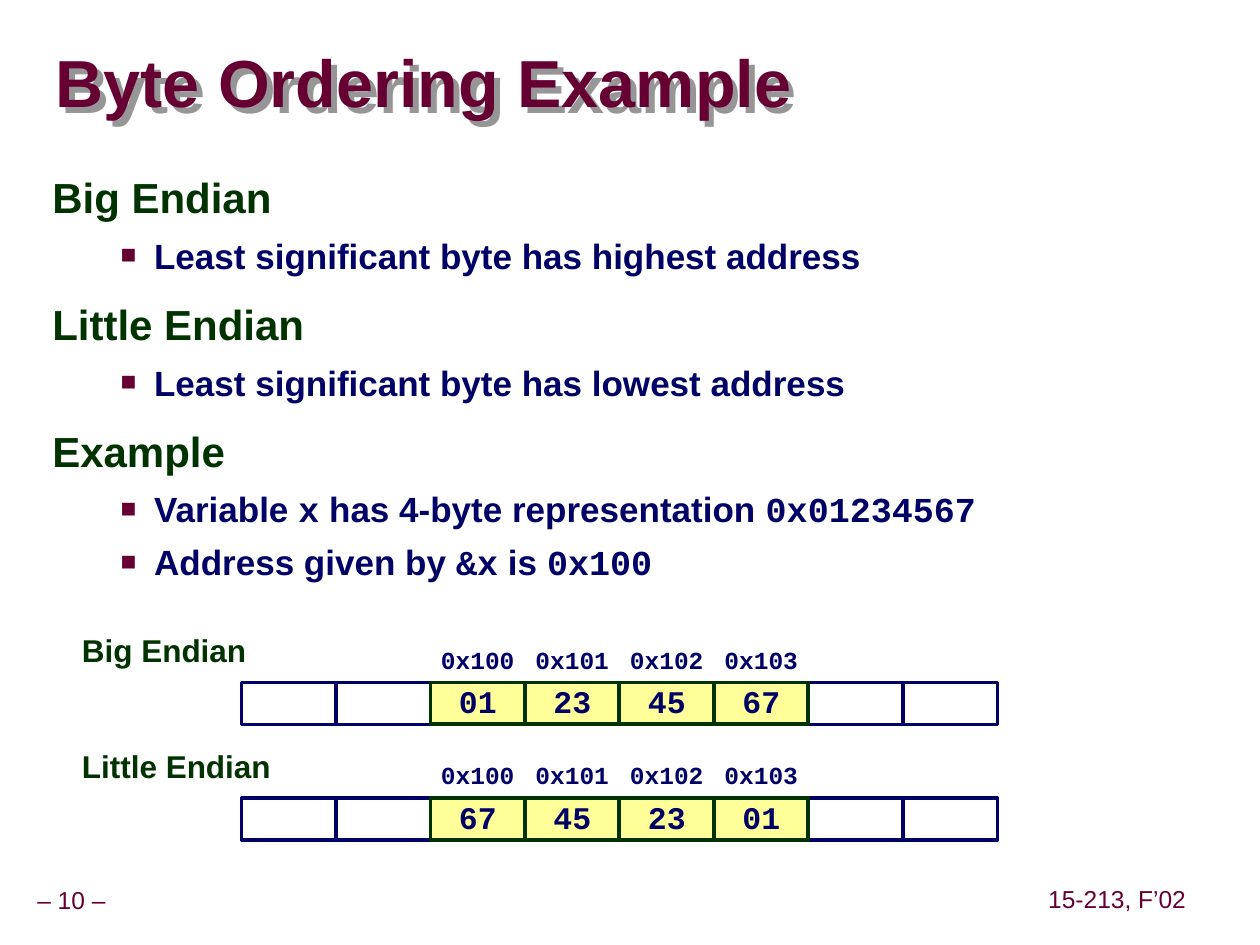
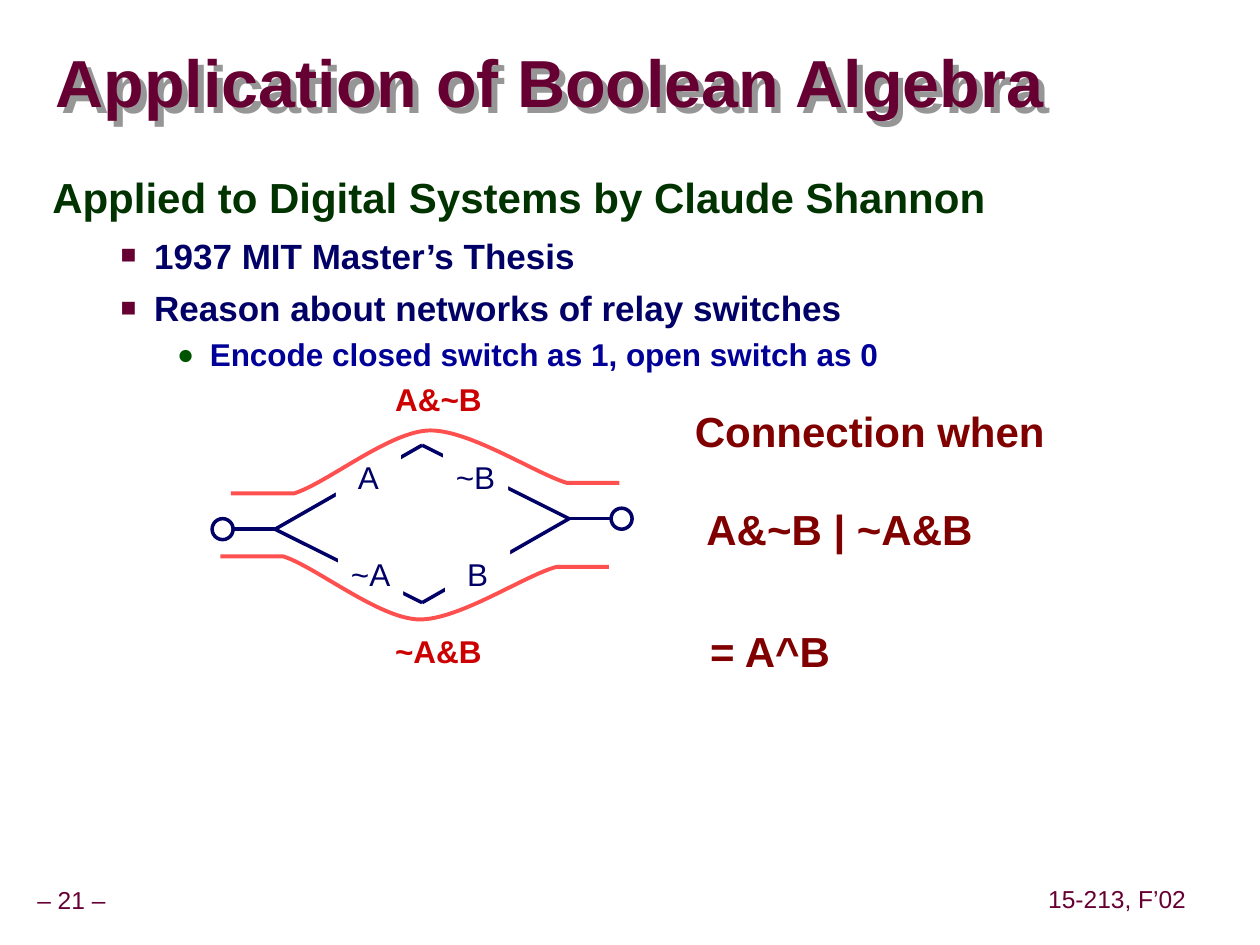
from dataclasses import dataclass
from typing import NamedTuple

from lxml.etree import Element, SubElement
from pptx import Presentation
from pptx.dml.color import RGBColor
from pptx.enum.shapes import MSO_CONNECTOR, MSO_SHAPE
from pptx.enum.text import MSO_ANCHOR, MSO_AUTO_SIZE, PP_ALIGN
from pptx.oxml.ns import qn
from pptx.util import Pt

EMU_PER_PX = 7620  # 120 px to the inch
COLORS = {
    "plum": "660033", "forest": "003300", "leaf": "005400", "navy": "000066",
    "blue": "000099", "maroon": "800000", "red": "CC0000", "coral": "FF5050",
    "yellow": "FFFF99", "white": "FFFFFF", "shadow": "969696",
}
SANS, MONO = "Arial", "Courier New"


class Area(NamedTuple):
    left: int
    top: int
    width: int
    height: int


@dataclass(frozen=True)
class TextStyle:
    size: int
    color: str
    font: str = SANS
    bold: bool = True


@dataclass(frozen=True)
class Layout:
    align: PP_ALIGN = PP_ALIGN.CENTER
    anchor: MSO_ANCHOR = MSO_ANCHOR.TOP
    spacing: float = 1.0
    inset_x: int = 6
    inset_y: int = 6
    wrap: bool = False


@dataclass(frozen=True)
class Level:
    style: TextStyle
    indent: int
    hanging: int
    before: float
    spacing: float
    bullet: str = ""
    bullet_color: str = ""
    bullet_percent: int = 100


@dataclass(frozen=True)
class Item:
    level: Level
    spans: tuple[str, ...]  # sans and mono text in turn


# Shared text styles
TITLE = TextStyle(38, "plum")
FOOTER = TextStyle(14, "plum", bold=False)
ADDRESS = TextStyle(14, "navy", MONO)
BYTE = TextStyle(18, "navy", MONO)
ROW_NAME = TextStyle(18, "forest")
SWITCH = TextStyle(18, "navy", bold=False)
PATH_NAME = TextStyle(18, "red")
RESULT = TextStyle(24, "maroon")

HEADING = Level(TextStyle(24, "forest"), 0, 0, 15, 0.95)
POINT = Level(TextStyle(20, "navy"), 97, 32, 6.2, 1.0, "■", "plum", 75)
DETAIL = Level(TextStyle(18, "blue"), 150, 31, 2.2, 1.07, "●", "leaf", 90)

TITLE_AREA = Area(53, 32, 1143, 102)
BODY_AREA = Area(38, 161, 1091, 685)
NUMBER_AREA = Area(0, 840, 136, 37)
COURSE_AREA = Area(992, 839, 144, 37)

CENTERED = Layout(anchor=MSO_ANCHOR.MIDDLE, spacing=0.9)
CAPTION = Layout(spacing=0.9)
PLAIN = Layout()
ROW_LABEL = Layout(PP_ALIGN.LEFT, spacing=0.95, inset_x=8, inset_y=4, wrap=True)
TITLE_LAYOUT = Layout(PP_ALIGN.LEFT, MSO_ANCHOR.MIDDLE, 0.87, 0, 0, True)
BODY_LAYOUT = Layout(PP_ALIGN.LEFT, inset_x=12, wrap=True)
RESULT_LAYOUT = Layout(PP_ALIGN.LEFT, inset_x=12)


def px(length: int) -> int:
    return length * EMU_PER_PX


def emu(area: Area) -> list[int]:
    return [px(length) for length in area]


def rgb(name: str) -> RGBColor:
    return RGBColor.from_string(COLORS[name])


def add_span(para, text: str, style: TextStyle, font: str = "") -> None:
    span = para.add_run()
    span.text = text
    span.font.size = Pt(style.size)
    span.font.name = font or style.font
    span.font.bold = style.bold
    span.font.color.rgb = rgb(style.color)


def set_frame(frame, layout: Layout) -> None:
    frame.auto_size = MSO_AUTO_SIZE.NONE
    frame.word_wrap = layout.wrap
    frame.vertical_anchor = layout.anchor
    frame.margin_left = frame.margin_right = px(layout.inset_x)
    frame.margin_top = frame.margin_bottom = px(layout.inset_y)


def write(shape, text: str, style: TextStyle, layout: Layout) -> None:
    set_frame(shape.text_frame, layout)
    para = shape.text_frame.paragraphs[0]
    para.alignment = layout.align
    para.line_spacing = layout.spacing
    add_span(para, text, style)


def add_text(page, area: Area, text: str, style: TextStyle, layout: Layout) -> None:
    write(page.shapes.add_textbox(*emu(area)), text, style, layout)


def add_box(page, area: Area, fill: str = "white", line: str = "",
            weight: float = 2, kind: MSO_SHAPE = MSO_SHAPE.RECTANGLE):
    box = page.shapes.add_shape(kind, *emu(area))
    box.shadow.inherit = False
    box.fill.solid()
    box.fill.fore_color.rgb = rgb(fill)
    if line:
        box.line.color.rgb = rgb(line)
        box.line.width = Pt(weight)
    else:
        box.line.fill.background()
    return box


def set_bullet(para, level: Level) -> None:
    properties = para._p.get_or_add_pPr()
    properties.set("marL", str(px(level.indent)))
    properties.set("indent", str(-px(level.hanging)))
    if level.bullet:
        color = SubElement(properties, qn("a:buClr"))
        SubElement(color, qn("a:srgbClr"), val=COLORS[level.bullet_color])
        SubElement(properties, qn("a:buSzPct"), val=str(level.bullet_percent * 1000))
        SubElement(properties, qn("a:buFont"), typeface=SANS)
        SubElement(properties, qn("a:buChar"), char=level.bullet)


def add_body(page, items: list[Item]) -> None:
    frame = page.shapes.add_textbox(*emu(BODY_AREA)).text_frame
    set_frame(frame, BODY_LAYOUT)
    for index, item in enumerate(items):
        para = frame.add_paragraph() if index else frame.paragraphs[0]
        level = item.level
        para.line_spacing = level.spacing
        para.space_before = Pt(level.before if index else 0)
        set_bullet(para, level)
        for position, text in enumerate(item.spans):
            add_span(para, text, level.style, MONO if position % 2 else SANS)


def add_title(page, text: str) -> None:
    title = page.shapes.title
    title.left, title.top, title.width, title.height = emu(TITLE_AREA)
    write(title, text, TITLE, TITLE_LAYOUT)
    title.fill.background()
    effects = SubElement(title._element.spPr, qn("a:effectLst"))
    shadow = SubElement(effects, qn("a:outerShdw"), dist=str(px(8)),
                        dir="2700000", algn="ctr", rotWithShape="0")
    SubElement(shadow, qn("a:srgbClr"), val=COLORS["shadow"])


def add_page(deck, title: str, number: int, items: list[Item]):
    page = deck.slides.add_slide(deck.slide_layouts[5])
    add_title(page, title)
    add_text(page, NUMBER_AREA, f"– {number} –", FOOTER, CENTERED)
    add_text(page, COURSE_AREA, "15-213, F’02", FOOTER, CENTERED)
    add_body(page, items)
    return page


def add_memory_row(page, name: str, top: int, values: list[str]) -> None:
    left, width, height, first = 230, 90, 40, 2
    cells = [Area(left + width * column, top, width, height) for column in range(8)]
    used = cells[first:first + len(values)]
    # Empty cells first, so the outlines of the used ones lie on top
    for cell in cells:
        if cell not in used:
            add_box(page, cell, line="navy")
    for offset, (cell, value) in enumerate(zip(used, values)):
        address = add_box(page, cell._replace(top=top - height))
        write(address, f"0x{0x100 + offset:x}", ADDRESS, CENTERED)
        box = add_box(page, cell, "yellow", "forest", 2.25)
        write(box, value, BYTE, CENTERED)
    add_text(page, Area(70, top - 50, 234, 41), name, ROW_NAME, ROW_LABEL)


def add_wire(page, start: tuple[int, int], end: tuple[int, int]) -> None:
    wire = page.shapes.add_connector(
        MSO_CONNECTOR.STRAIGHT, *(px(length) for length in start + end))
    wire.line.color.rgb = rgb("navy")
    wire.line.width = Pt(2)
    SubElement(wire._element.spPr, qn("a:effectLst"))


def add_path(page, points: list[tuple[int, int]]) -> None:
    """Draw a straight lead, two cubic curves and a straight lead."""
    builder = page.shapes.build_freeform(*points[0], scale=EMU_PER_PX)
    builder.add_line_segments(points[1:], close=False)
    shape = builder.convert_to_shape()
    shape.shadow.inherit = False
    shape.fill.background()
    shape.line.color.rgb = rgb("coral")
    shape.line.width = Pt(2.25)
    segments = list(shape._element.iter(qn("a:lnTo")))
    for group in (segments[1:4], segments[4:7]):
        curve = Element(qn("a:cubicBezTo"))
        group[0].addprevious(curve)
        for segment in group:
            curve.append(segment[0])
            segment.getparent().remove(segment)


def add_circuit(page) -> None:
    # Wires of the switch network
    left, right, upper, lower = (262, 504), (542, 494), (402, 424), (402, 574)
    for middle in (upper, lower):
        add_wire(page, left, middle)
        add_wire(page, middle, right)
    add_wire(page, (222, 504), left)
    add_wire(page, right, (582, 494))
    # Switch names cover the middle of each wire
    for x, y, name in ((320, 430, "A"), (322, 523, "~A"),
                       (422, 430, "~B"), (424, 523, "B")):
        write(add_box(page, Area(x, y, 62, 48)), name, SWITCH, PLAIN)
    # Terminals
    for x, y in ((202, 494), (582, 484)):
        add_box(page, Area(x, y, 20, 20), line="navy", kind=MSO_SHAPE.OVAL)
    # Closed paths
    add_path(page, [(220, 470), (280, 470), (312, 460), (372, 410), (410, 410),
                    (448, 410), (510, 451), (540, 460), (590, 460)])
    add_path(page, [(210, 530), (270, 530), (301, 540), (362, 590), (400, 590),
                    (438, 590), (500, 548), (530, 540), (580, 540)])
    for top, name in ((360, "A&~B"), (600, "~A&B")):
        add_text(page, Area(370, top, 95, 44), name, PATH_NAME, CAPTION)


def add_result(page) -> None:
    box = page.shapes.add_textbox(*emu(Area(650, 380, 358, 252)))
    write(box, "Connection when", RESULT, RESULT_LAYOUT)
    para = box.text_frame.add_paragraph()
    para.space_before = Pt(27.6)
    para._p.get_or_add_pPr().set("marL", str(px(11)))
    add_span(para, "A&~B | ~A&B", RESULT)
    add_text(page, Area(670, 590, 127, 60), "= A^B", RESULT, PLAIN)


def main() -> None:
    deck = Presentation()
    deck.slide_width, deck.slide_height = px(1200), px(900)

    # Byte ordering
    page = add_page(deck, "Byte Ordering Example", 10, [
        Item(HEADING, ("Big Endian",)),
        Item(POINT, ("Least significant byte has highest address",)),
        Item(HEADING, ("Little Endian",)),
        Item(POINT, ("Least significant byte has lowest address",)),
        Item(HEADING, ("Example",)),
        Item(POINT, ("Variable ", "x", " has 4-byte representation ", "0x01234567")),
        Item(POINT, ("Address given by ", "&x", " is ", "0x100")),
    ])
    values = ["01", "23", "45", "67"]
    add_memory_row(page, "Big Endian", 650, values)
    add_memory_row(page, "Little Endian", 760, values[::-1])

    # Boolean algebra
    page = add_page(deck, "Application of Boolean Algebra", 21, [
        Item(HEADING, ("Applied to Digital Systems by Claude Shannon",)),
        Item(POINT, ("1937 MIT Master’s Thesis",)),
        Item(POINT, ("Reason about networks of relay switches",)),
        Item(DETAIL, ("Encode closed switch as 1, open switch as 0",)),
    ])
    add_circuit(page)
    add_result(page)

    deck.save("out.pptx")


if __name__ == "__main__":
    main()
